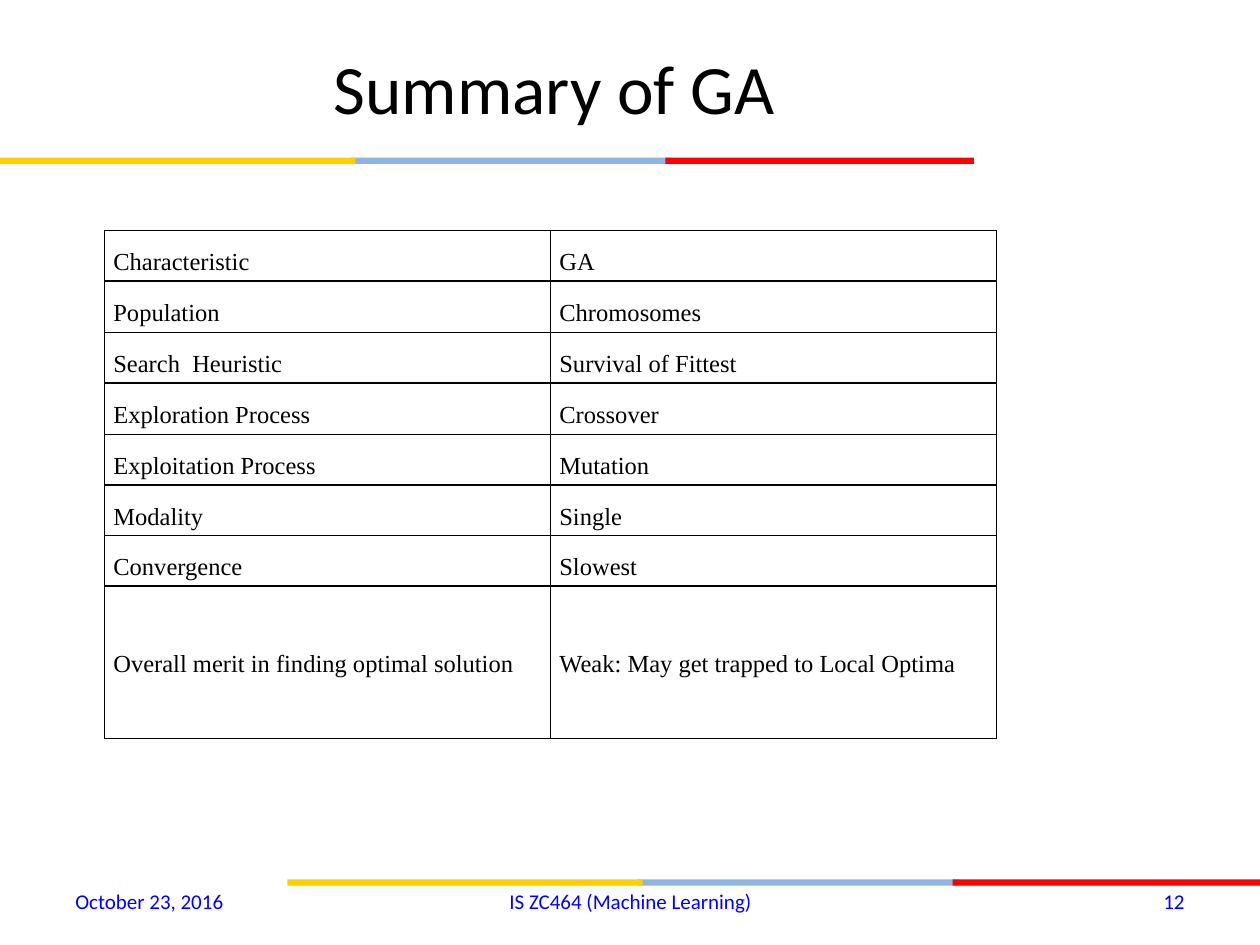
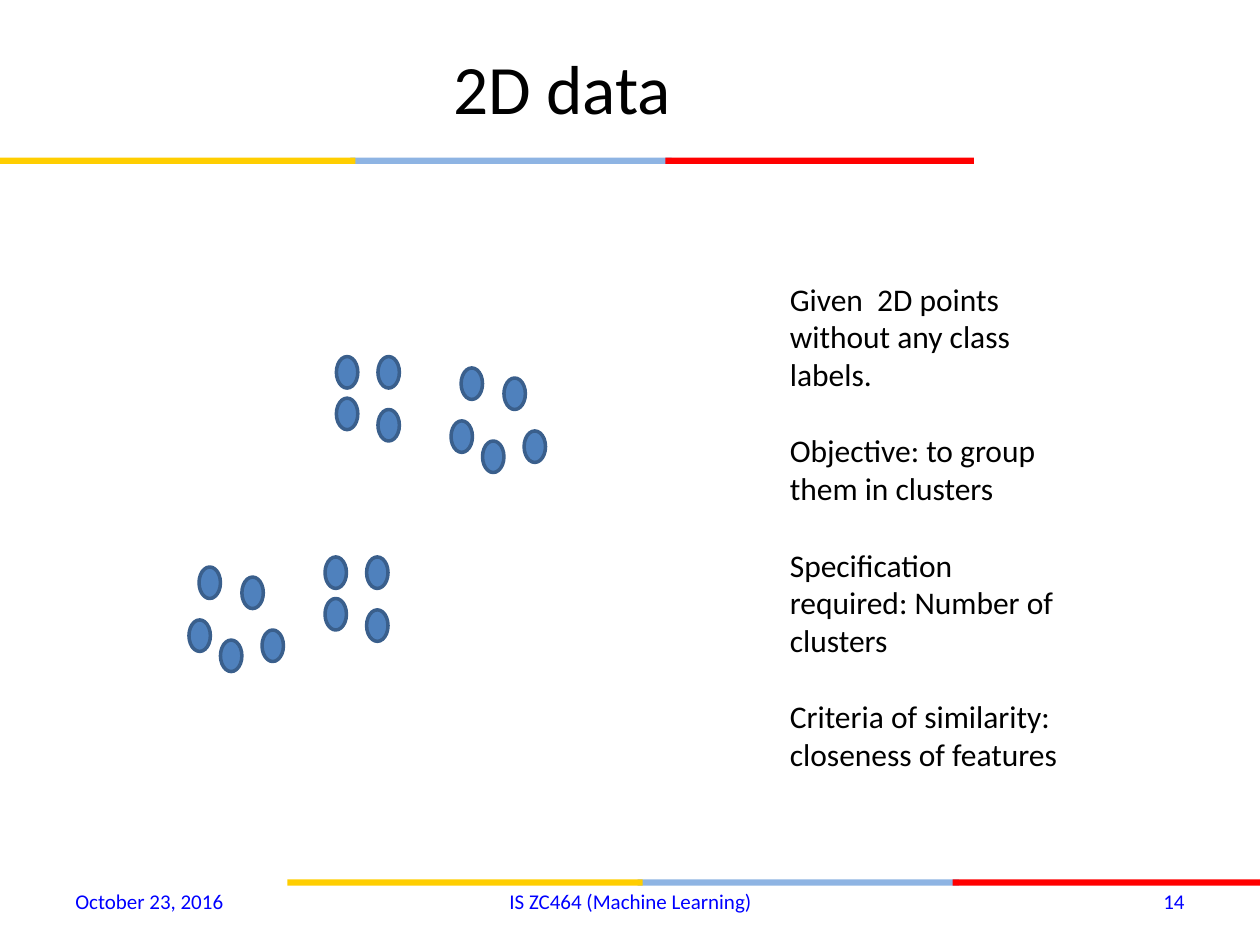
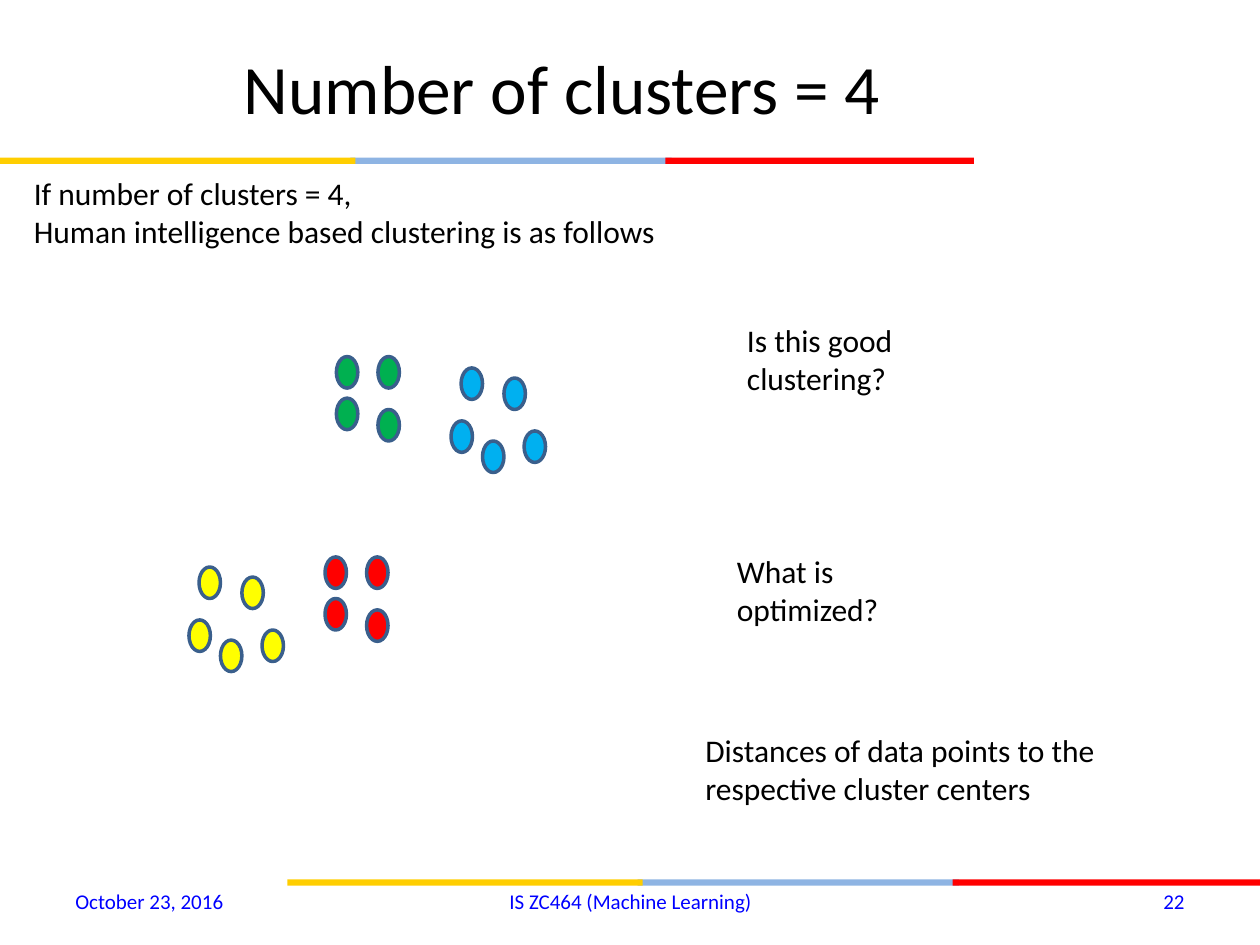
from typing import NamedTuple

from lxml import etree
from pptx import Presentation
from pptx import util as u
from pptx.dml import color
from pptx.enum import shapes, text
from pptx.oxml import ns
from pptx.shapes import shapetree
from pptx.slide import Slide
from pptx.table import _Cell
from pptx.text.text import TextFrame

BLACK, WHITE, BLUE = "000000", "FFFFFF", "0000FF"
GOLD, SKY, RED = "FFCE00", "8EB4E3", "FF0000"
DOT_FILL, DOT_LINE = "4F81BD", "3A5F8C"
GREEN, CYAN, YELLOW = "00B050", "00B0F0", "FFFF00"
LEFT, CENTER, RIGHT = text.PP_ALIGN.LEFT, text.PP_ALIGN.CENTER, text.PP_ALIGN.RIGHT
TOP, MIDDLE = text.MSO_ANCHOR.TOP, text.MSO_ANCHOR.MIDDLE
COURSE, DATE = "IS ZC464 (Machine Learning)", "October 23, 2016"


class Area(NamedTuple):
    left: float
    top: float
    width: float
    height: float


class Stripe(NamedTuple):
    offset: float
    width: float
    fill: str


class Cluster(NamedTuple):
    left: float
    top: float
    offsets: list[tuple[float, float]]
    fill: str


class Note(NamedTuple):
    area: Area
    content: str
    wrap: bool = True


STRIPES = [Stripe(2.78, 2.55, SKY), Stripe(5.28, 2.45, RED), Stripe(0, 2.82, GOLD)]
BANDS = [(0, 1.25), (2.28, 6.98)]

FOUR_DOTS = [(0, 0), (0.33, 0), (0, 0.33), (0.33, 0.42)]
FIVE_DOTS = [(0, 0.42), (0.08, 0), (0.42, 0.08), (0.25, 0.58), (0.58, 0.5)]
CLUSTERS = [
    Cluster(2.67, 2.83, FOUR_DOTS, GREEN),
    Cluster(3.58, 2.92, FIVE_DOTS, CYAN),
    Cluster(2.58, 4.42, FOUR_DOTS, RED),
    Cluster(1.5, 4.5, FIVE_DOTS, YELLOW),
]

SUMMARY = [
    ("Characteristic", "GA"),
    ("Population", "Chromosomes"),
    ("Search  Heuristic", "Survival of Fittest"),
    ("Exploration Process", "Crossover"),
    ("Exploitation Process", "Mutation"),
    ("Modality", "Single"),
    ("Convergence", "Slowest"),
    ("Overall merit in finding optimal solution", "Weak: May get trapped to Local Optima"),
]
ROW_HEIGHTS = [0.4, 0.41, 0.4, 0.41, 0.4, 0.4, 0.4, 1.21]

TASK = """Given  2D points without any class labels.
Objective: to group them in clusters
Specification required: Number of clusters
Criteria of similarity: closeness of features"""

QUESTIONS = [
    Note(
        Area(0.17, 1.33, 5.19, 0.71),
        "If number of clusters = 4,\nHuman intelligence based clustering is as follows",
        wrap=False,
    ),
    Note(Area(5.83, 2.5, 1.92, 0.71), "Is this good clustering?"),
    Note(Area(5.75, 4.33, 1.92, 0.71), "What is optimized?"),
    Note(
        Area(5.5, 5.75, 3.42, 0.71),
        "Distances of data points to the respective cluster centers",
    ),
]


def rgb(value: str) -> color.RGBColor:
    return color.RGBColor.from_string(value)


def inches(area: Area) -> list[u.Length]:
    return [u.Inches(length) for length in area]


def write(
    frame: TextFrame,
    content: str,
    *,
    size: float = 18,
    font: str = "Calibri",
    ink: str = BLACK,
    align: text.PP_ALIGN = LEFT,
    spacing: float = 1.0,
    gap: float = 0,
) -> None:
    for index, line in enumerate(content.split("\n")):
        para = frame.add_paragraph() if index else frame.paragraphs[0]
        para.alignment = align
        para.line_spacing = spacing
        para.space_before = u.Pt(gap if index else 0)
        span = para.add_run()
        span.text = line
        span.font.size = u.Pt(size)
        span.font.name = font
        span.font.color.rgb = rgb(ink)


def add_text(
    page: Slide,
    area: Area,
    content: str,
    *,
    anchor: text.MSO_ANCHOR = TOP,
    wrap: bool = True,
    **style,
) -> None:
    frame = page.shapes.add_textbox(*inches(area)).text_frame
    frame.word_wrap = wrap
    frame.vertical_anchor = anchor
    write(frame, content, **style)


def add_figure(
    parent: shapetree._BaseGroupShapes,
    kind: shapes.MSO_SHAPE,
    area: Area,
    fill: str,
    line: str | None = None,
) -> None:
    figure = parent.add_shape(kind, *inches(area))
    figure.shadow.inherit = False
    figure.fill.solid()
    figure.fill.fore_color.rgb = rgb(fill)
    if line:
        figure.line.color.rgb = rgb(line)
        figure.line.width = u.Pt(2)
    else:
        figure.line.fill.background()


def add_cluster(
    parent: shapetree._BaseGroupShapes, cluster: Cluster, fill: str
) -> None:
    for across, down in cluster.offsets:
        area = Area(cluster.left + across, cluster.top + down, 0.17, 0.25)
        add_figure(parent, shapes.MSO_SHAPE.OVAL, area, fill, DOT_LINE)


def add_page(deck: Presentation, title: str, number: int) -> Slide:
    page = deck.slides.add_slide(deck.slide_layouts[6])
    page.background.fill.solid()
    page.background.fill.fore_color.rgb = rgb(WHITE)
    for left, top in BANDS:
        for stripe in STRIPES:
            area = Area(left + stripe.offset, top, stripe.width, 0.05)
            add_figure(page.shapes, shapes.MSO_SHAPE.RECTANGLE, area, stripe.fill)
    add_text(
        page, Area(0.5, 0.3, 7.92, 0.78), title, anchor=MIDDLE, size=39.6, align=CENTER
    )
    footers = [
        (0.5, 2.33, DATE, LEFT),
        (3.42, 3.17, COURSE, CENTER),
        (7.17, 2.33, str(number), RIGHT),
    ]
    for left, width, content, align in footers:
        area = Area(left, 6.95, width, 0.4)
        add_text(page, area, content, anchor=MIDDLE, size=12, ink=BLUE, align=align)
    return page


def add_borders(cell: _Cell) -> None:
    properties = cell._tc.get_or_add_tcPr()
    for index, side in enumerate(("lnL", "lnR", "lnT", "lnB")):
        border = etree.Element(ns.qn(f"a:{side}"), w=str(u.Pt(1)))
        fill = etree.SubElement(border, ns.qn("a:solidFill"))
        etree.SubElement(fill, ns.qn("a:srgbClr"), val=BLACK)
        properties.insert(index, border)


def add_summary(page: Slide) -> None:
    area = Area(0.83, 1.83, 7.08, sum(ROW_HEIGHTS))
    table = page.shapes.add_table(len(SUMMARY), 2, *inches(area)).table
    table.first_row = table.horz_banding = False
    for row, height, entries in zip(table.rows, ROW_HEIGHTS, SUMMARY):
        row.height = u.Inches(height)
        spacing = 1.15 if height > 1 else 1.5
        for cell, content in zip(row.cells, entries):
            cell.fill.background()
            cell.vertical_anchor = MIDDLE
            cell.margin_left = cell.margin_right = u.Inches(0.07)
            cell.margin_top = cell.margin_bottom = u.Inches(0)
            write(
                cell.text_frame,
                content,
                size=14,
                font="Times New Roman",
                spacing=spacing,
            )
            add_borders(cell)


def main() -> None:
    deck = Presentation()
    deck.slide_width, deck.slide_height = u.Inches(10), u.Inches(7.5)

    add_summary(add_page(deck, "Summary of GA ", 12))

    page = add_page(deck, "2D data", 14)
    for cluster in CLUSTERS:
        add_cluster(page.shapes.add_group_shape().shapes, cluster, DOT_FILL)
    add_text(page, Area(6.17, 2.17, 2.42, 4.04), TASK, gap=22)

    page = add_page(deck, "Number of clusters = 4", 22)
    for cluster in CLUSTERS:
        add_cluster(page.shapes, cluster, cluster.fill)
    for note in QUESTIONS:
        add_text(page, note.area, note.content, wrap=note.wrap)

    deck.save("out.pptx")


if __name__ == "__main__":
    main()
